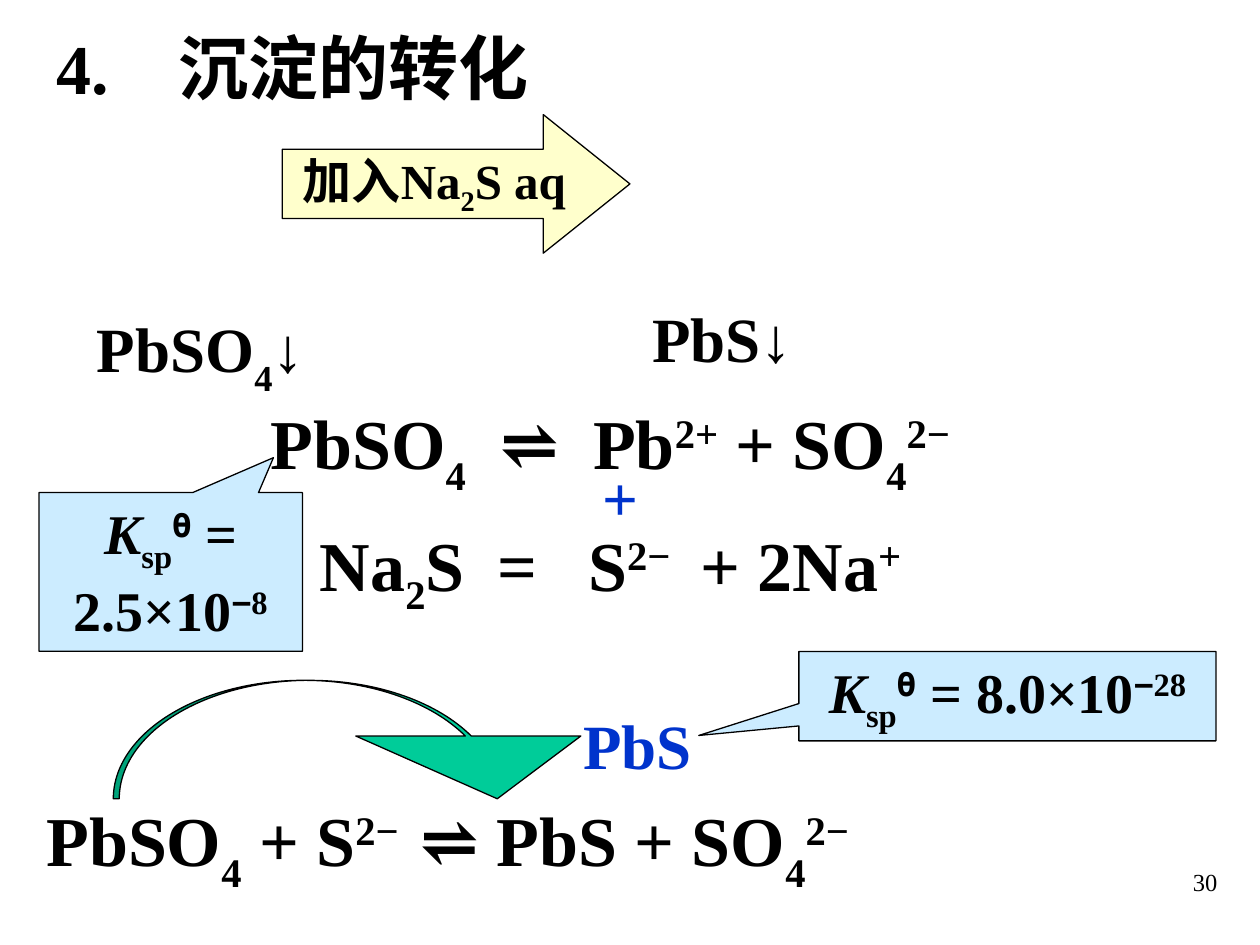
from dataclasses import dataclass
from typing import NamedTuple

import pptx
import pptx.dml.color
import pptx.enum.shapes
import pptx.enum.text
import pptx.oxml
import pptx.oxml.ns
import pptx.util
from pptx.util import Inches

Align = pptx.enum.text.PP_ALIGN
Anchor = pptx.enum.text.MSO_ANCHOR
Preset = pptx.enum.shapes.MSO_SHAPE


@dataclass(frozen=True)
class Theme:
    font: str = "Times New Roman"
    symbol_font: str = "DejaVu Sans Mono"
    black: str = "000000"
    blue: str = "0033CC"
    yellow: str = "FFFFCC"
    pale_blue: str = "CCECFF"
    green: str = "00CC99"
    equation: float = 40
    species: float = 36
    constant: float = 32
    reagent: float = 28
    number: float = 14
    line: float = 0.75


THEME = Theme()


class Run(NamedTuple):
    text: str
    base: int = 0
    font: str | None = None
    italic: bool = False


class Box(NamedTuple):
    x: float
    y: float
    w: float
    h: float

    def emu(self) -> list[int]:
        return [Inches(v) for v in self]


@dataclass(frozen=True)
class Label:
    box: Box
    runs: list[Run]
    size: float = THEME.equation
    color: str = THEME.black
    tabs: tuple[float, ...] = ()
    bold: bool = True
    align: Align = Align.LEFT
    anchor: Anchor = Anchor.TOP


@dataclass(frozen=True)
class Figure:
    preset: Preset
    box: Box
    adjustments: tuple[float, ...]
    fill: str
    runs: tuple[Run, ...] = ()
    size: float = THEME.constant
    anchor: Anchor = Anchor.TOP
    wrap: bool = True
    flip: bool = False


def rgb(value: str):
    return pptx.dml.color.RGBColor.from_string(value)


def sub(text: str, base: int = -30) -> Run:
    return Run(text, base)


def sup(text: str, font: str | None = None) -> Run:
    return Run(text, 30, font)


def solubility(value: str, exponent: str) -> tuple[Run, ...]:
    """Runs for a solubility product constant."""
    return (Run("K", italic=True), sub("sp", -25), sup("Ɵ", THEME.symbol_font),
            Run(f" = {value}×10"), sup("−", THEME.symbol_font), sup(exponent))


def write(tf, runs, size: float, color: str = THEME.black, bold: bool = True,
          align: Align = Align.CENTER, tabs: tuple[float, ...] = ()) -> None:
    p = tf.paragraphs[0]
    p.alignment = align
    if tabs:
        stops = pptx.oxml.parse_xml(
            f"<a:tabLst {pptx.oxml.ns.nsdecls('a')}>"
            + "".join(f'<a:tab pos="{Inches(t)}" algn="l"/>' for t in tabs)
            + "</a:tabLst>")
        p._p.get_or_add_pPr().append(stops)
    p.font.name = THEME.font
    p.font.size = pptx.util.Pt(size)
    p.font.bold = bold
    p.font.color.rgb = rgb(color)
    for run in runs:
        r = p.add_run()
        r.text = run.text
        if run.font:
            r.font.name = run.font
        if run.italic:
            r.font.italic = True
        if run.base:
            r.font._element.set("baseline", str(run.base * 1000))


def add_label(s, label: Label) -> None:
    tf = s.shapes.add_textbox(*label.box.emu()).text_frame
    tf.word_wrap = True
    tf.vertical_anchor = label.anchor
    write(tf, label.runs, label.size, label.color, label.bold, label.align, label.tabs)


def add_figure(s, figure: Figure) -> None:
    sp = s.shapes.add_shape(figure.preset, *figure.box.emu())
    sp.shadow.inherit = False
    for i, value in enumerate(figure.adjustments):
        sp.adjustments[i] = value
    sp.fill.solid()
    sp.fill.fore_color.rgb = rgb(figure.fill)
    sp.line.color.rgb = rgb(THEME.black)
    sp.line.width = pptx.util.Pt(THEME.line)
    if figure.flip:
        sp._element.spPr.xfrm.set("flipV", "1")
    if figure.runs:
        tf = sp.text_frame
        tf.word_wrap = figure.wrap
        tf.vertical_anchor = figure.anchor
        write(tf, figure.runs, figure.size)


LABELS = [
    Label(Box(7.68, 6.83, 2.08, 0.5), [Run("30")], THEME.number, bold=False,
          align=Align.RIGHT),
    Label(Box(0.35, 0.21, 5.04, 0.63), [Run("4.\t沉淀的转化")], tabs=(0.97,),
          anchor=Anchor.MIDDLE),
    Label(Box(0.67, 2.41, 2.13, 0.7), [Run("PbSO"), sub("4"), Run("↓")], THEME.species),
    Label(Box(5.08, 2.33, 1.65, 0.7), [Run("PbS↓")], THEME.species),
    Label(Box(2.05, 3.12, 5.79, 0.77),
          [Run("PbSO"), sub("4"), Run("\t⇌\tPb"), sup("2+"), Run(" + SO"), sub("4"),
           sup("2−")], tabs=(1.82, 2.56)),
    Label(Box(2.44, 4.09, 5, 0.77),
          [Run("Na"), sub("2", -25), Run("S\t=\tS"), sup("2−"), Run("\t+ 2Na"),
           sup("+")], tabs=(1.41, 2.13, 3.02)),
    Label(Box(0.27, 6.27, 7.09, 0.77),
          [Run("PbSO"), sub("4"), Run(" + S"), sup("2−"), Run("\t⇌ PbS + SO"), sub("4"),
           sup("2−")], tabs=(2.97,)),
    Label(Box(4.68, 3.59, 0.55, 0.7), [Run("+")], THEME.species, THEME.blue),
    Label(Box(4.53, 5.56, 1.34, 0.7), [Run("PbS")], THEME.species, THEME.blue),
]

FIGURES = [
    Figure(Preset.RIGHT_ARROW, Box(2.24, 0.91, 2.76, 1.1), (0.5, 0.625), THEME.yellow,
           (Run("加入Na"), sub("2", -25), Run("S aq")), THEME.reagent,
           Anchor.MIDDLE, wrap=False),
    Figure(Preset.RECTANGULAR_CALLOUT, Box(6.34, 5.17, 3.31, 0.71), (-0.74, 0.44),
           THEME.pale_blue, solubility("8.0", "28")),
    Figure(Preset.RECTANGULAR_CALLOUT, Box(0.31, 3.91, 2.09, 1.26), (0.39, -0.72),
           THEME.pale_blue, solubility("2.5", "8")),
    Figure(Preset.CURVED_UP_ARROW, Box(0.9, 5.4, 3.94, 0.94), (0.05, 1.9, 0.53),
           THEME.green, flip=True),
]


def main() -> None:
    prs = pptx.Presentation()
    prs.slide_width, prs.slide_height = Inches(10), Inches(7.5)
    s = prs.slides.add_slide(prs.slide_layouts[6])
    for label in LABELS:
        add_label(s, label)
    for figure in FIGURES:
        add_figure(s, figure)
    prs.save("out.pptx")


if __name__ == "__main__":
    main()
